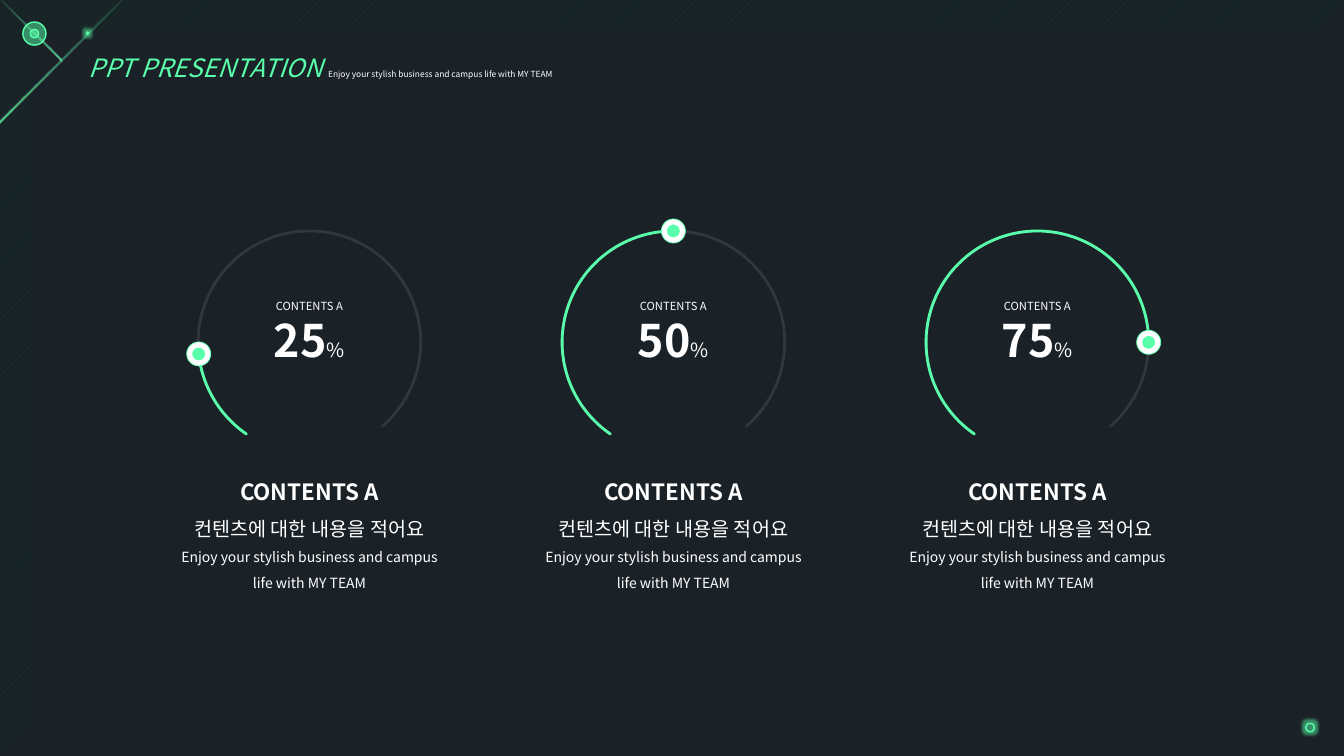
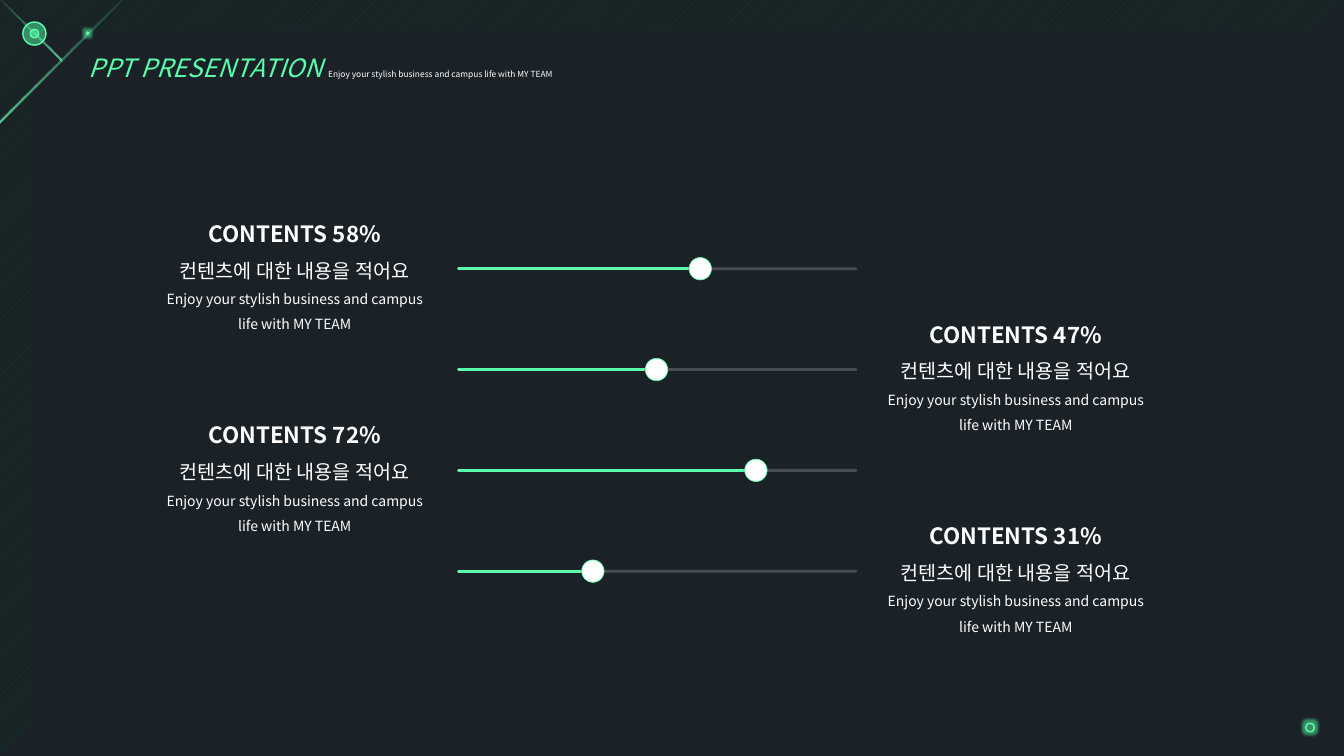
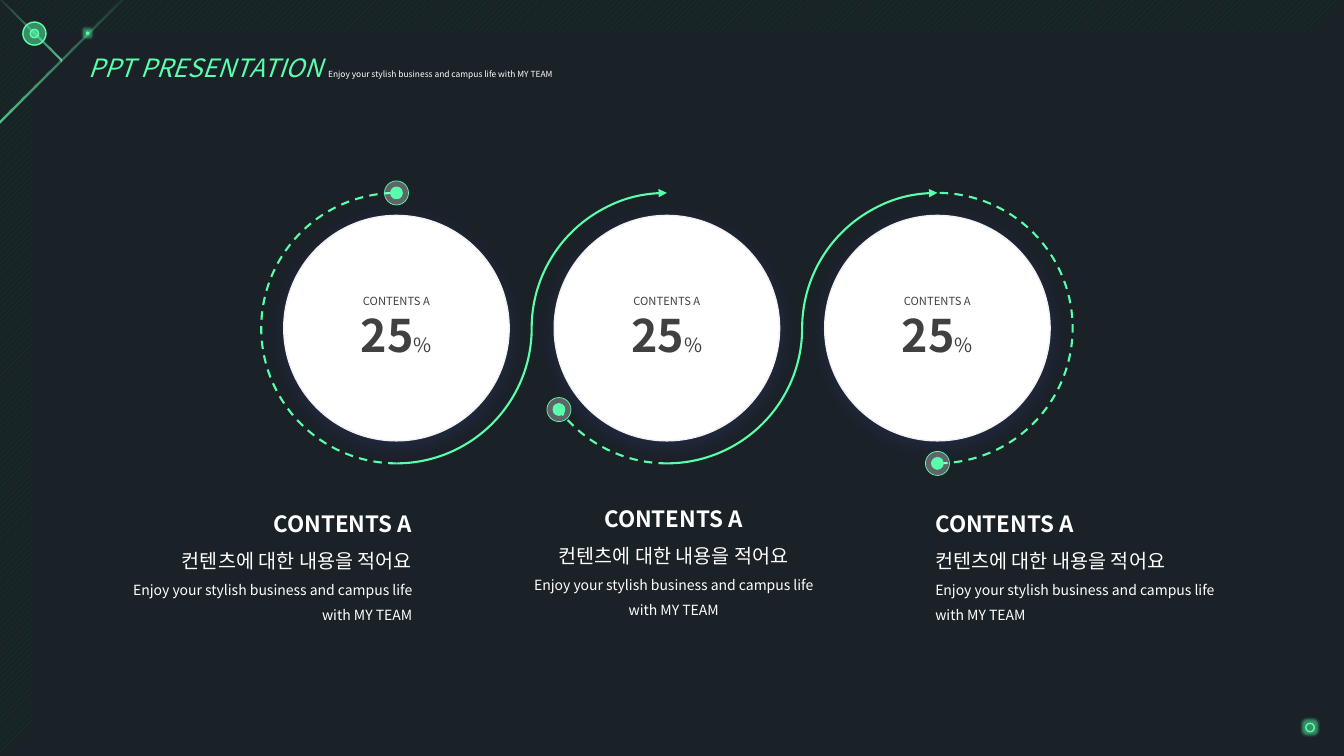
import math

import lxml.etree
import pptx
import pptx.dml.color
import pptx.enum.dml
import pptx.enum.shapes
import pptx.enum.text
import pptx.oxml.ns
import pptx.util

Pt = pptx.util.Pt
qn = pptx.oxml.ns.qn
SHAPE = pptx.enum.shapes.MSO_SHAPE
ALIGN = pptx.enum.text.PP_ALIGN
ANCHOR = pptx.enum.text.MSO_ANCHOR


class Theme:
    font = "Noto Sans CJK KR"
    back, stripe = "1A2127", "004C26"
    accent, white, ink, rim, glow = "59FFAB", "FFFFFF", "404040", "F2F2F2", "5660FA"
    title, tagline = 18, 6
    label, figure, unit = 8, 32, 14
    heading, subheading, body = 16, 14, 10
    thin, edge, medium, thick = 0.5, 1, 1.5, 2


# Content
TITLE = "PPT PRESENTATION "
TAGLINE = "Enjoy your stylish business and campus life with MY TEAM"
SUBHEADING = "컨텐츠에 대한 내용을 적어요"
LABEL = "CONTENTS A"
GAUGES = [("25", 174), ("50", 270), ("75", 0)]  # figure, angle of the pin
SLIDERS = [58, 47, 72, 31]
DISCS = ["25", "25", "25"]
RING_ARCS = [  # disc, start angle, end angle, style
    (0, 90, 269, "dash"), (0, 0, 90, "solid"), (1, 180, 270, "arrow"),
    (1, 90, 145, "dash"), (1, 0, 90, "solid"), (2, 180, 270, "arrow"),
    (2, 271, 90, "dash"),
]
RING_PINS = [(0, 270), (1, 143), (2, 90)]  # disc, angle
DISC_CAPTIONS = [(72, 351.5, ALIGN.RIGHT), (366.5, 348, ALIGN.CENTER),
                 (661, 351.5, ALIGN.LEFT)]

# Layout
WIDTH, HEIGHT = 960, 540
BAND = [(0, 0), (WIDTH, 0), (WIDTH, 1.5), (939, 22.5), (23, 22.5),
        (23, 518.5), (1.5, HEIGHT), (0, HEIGHT)]
TITLE_BOX = (56, 34, 480, 29)
CAPTION_HEIGHT = 98
GAUGE_X, GAUGE_Y, GAUGE_STEP, GAUGE_SIZE = 221, 244.5, 260, 159
TRACK_X, TRACK_Y, TRACK_STEP, TRACK_WIDTH, KNOB = 327.5, 192, 72, 284, 16
DISC_X, DISC_Y, DISC_SIZE, RING_SIZE = 283.2, 234.4, 161, 193.2


def rgb(color):
    return pptx.dml.color.RGBColor.from_string(color)


# Formatting
def set_alpha(colors, *percents):
    for color, percent in zip(colors, percents):
        lxml.etree.SubElement(color, qn("a:alpha"), val=str(percent * 1000))


def fill(sp, color=None, alpha=None):
    if color is None:
        sp.fill.background()
        return
    sp.fill.solid()
    sp.fill.fore_color.rgb = rgb(color)
    if alpha is not None:
        set_alpha(sp.element.xpath("./p:spPr/a:solidFill/a:srgbClr"), alpha)


def stroke(sp, color=None, width=1, alpha=None, style="solid", cap="flat"):
    if color is None:
        sp.line.fill.background()
        return
    sp.line.color.rgb = rgb(color)
    sp.line.width = Pt(width)
    ln = sp.element.xpath("./p:spPr/a:ln")[0]
    ln.set("cap", cap)
    if alpha is not None:
        set_alpha(ln.xpath(".//a:srgbClr"), alpha)
    if style == "dash":
        sp.line.dash_style = pptx.enum.dml.MSO_LINE.DASH
    if style == "arrow":
        lxml.etree.SubElement(ln, qn("a:tailEnd"), type="triangle")


def add_effect(sp, kind, color, alpha, **lengths):
    effects = sp.element.xpath("./p:spPr/a:effectLst")[0]
    effect = lxml.etree.SubElement(
        effects, qn(kind), **{k: str(v) for k, v in lengths.items()})
    clr = lxml.etree.SubElement(effect, qn("a:srgbClr"), val=color)
    set_alpha([clr], alpha)


def add_shadow(sp, color, alpha, blur, dist, angle):
    add_effect(sp, "a:outerShdw", color, alpha, blurRad=Pt(blur), dist=Pt(dist),
               dir=angle * 60000, algn="ctr", rotWithShape=0)


def add_run(p, text, size, color, bold=False, italic=False):
    r = p.add_run()
    r.text = text
    r.font.size, r.font.bold, r.font.italic = Pt(size), bold, italic
    r.font.name = Theme.font
    r.font.color.rgb = rgb(color)
    lxml.etree.SubElement(r._r.get_or_add_rPr(), qn("a:ea"), typeface=Theme.font)


def write(tf, paragraphs, color, align, spacing=None):
    """Each paragraph is a list of (text, size, bold) runs."""
    tf.word_wrap = True
    for i, runs in enumerate(paragraphs):
        p = tf.add_paragraph() if i else tf.paragraphs[0]
        p.alignment = align
        if spacing:
            p.line_spacing = spacing
        for text, size, bold in runs:
            add_run(p, text, size, color, bold)


# Parts
def add_shape(slide, kind, x, y, w, h):
    sp = slide.shapes.add_shape(kind, Pt(x), Pt(y), Pt(w), Pt(h))
    sp.shadow.inherit = False
    return sp


def add_round(slide, x, y, size, kind=SHAPE.OVAL):
    return add_shape(slide, kind, x - size / 2, y - size / 2, size, size)


def add_dot(slide, x, y, size, color, line=None, width=1, alpha=None):
    sp = add_round(slide, x, y, size)
    fill(sp, color, alpha)
    stroke(sp, line, width)
    return sp


def add_pin(slide, x, y, size, angle, alpha=None):
    x += size / 2 * math.cos(math.radians(angle))
    y += size / 2 * math.sin(math.radians(angle))
    add_dot(slide, x, y, 17.2, Theme.white, Theme.accent, Theme.thin, alpha)
    add_dot(slide, x, y, 8.6, Theme.accent, Theme.accent, Theme.thin)


def add_arc(slide, x, y, size, start, end, color, width, **line):
    sp = add_round(slide, x, y, size, SHAPE.ARC)
    # Arc adjustments count 60000ths of a degree in units of 100000
    sp.adjustments[0], sp.adjustments[1] = start * 0.6, end * 0.6
    fill(sp)
    stroke(sp, color, width, **line)
    return sp


def add_line(slide, x1, x2, y, color, alpha=None):
    sp = slide.shapes.add_connector(
        pptx.enum.shapes.MSO_CONNECTOR.STRAIGHT, Pt(x1), Pt(y), Pt(x2), Pt(y))
    stroke(sp, color, Theme.thick, alpha, cap="rnd")
    lxml.etree.SubElement(sp.element.spPr, qn("a:effectLst"))


def write_figure(sp, figure, color):
    sp.text_frame.vertical_anchor = ANCHOR.MIDDLE
    write(sp.text_frame, [[(LABEL, Theme.label, False)],
                          [(figure, Theme.figure, True), ("%", Theme.unit, False)]],
          color, ALIGN.CENTER)


def add_caption(slide, x, y, width, heading, align=ALIGN.CENTER):
    sp = slide.shapes.add_textbox(Pt(x), Pt(y), Pt(width), Pt(CAPTION_HEIGHT))
    write(sp.text_frame, [[(heading, Theme.heading, True)],
                          [(SUBHEADING, Theme.subheading, False)],
                          [(TAGLINE, Theme.body, False)]],
          Theme.white, align, 1.5)


def add_stripe(slide, size, adjustment, flip=False):
    sp = add_shape(slide, SHAPE.DIAGONAL_STRIPE, 0, 0, size, size)
    sp.adjustments[0] = adjustment
    sp.fill.gradient()
    sp.fill.gradient_angle = 0
    for stop in sp.fill.gradient_stops:
        stop.color.rgb = rgb(Theme.accent)
    set_alpha(sp.element.xpath("./p:spPr/a:gradFill//a:srgbClr"), 75, 7)
    stroke(sp)
    if flip:
        sp.element.spPr.xfrm.set("flipH", "1")


# Shared layout
def draw_decor(slide):
    points = [(Pt(x), Pt(y)) for x, y in BAND]
    builder = slide.shapes.build_freeform(*points[0], scale=1.0)
    builder.add_line_segments(points[1:], close=True)
    band = builder.convert_to_shape()
    band.shadow.inherit = False
    band.fill.patterned()
    band.fill.pattern = pptx.enum.dml.MSO_PATTERN.WIDE_UPWARD_DIAGONAL
    band.fill.fore_color.rgb = rgb(Theme.stripe)
    band.fill.back_color.rgb = rgb(Theme.back)
    stroke(band)

    add_stripe(slide, 88, 0.976)
    add_dot(slide, 24.6, 24, 16.5, Theme.accent, Theme.accent, Theme.edge, 49)
    add_dot(slide, 24.6, 24, 6, Theme.accent, Theme.accent, Theme.edge, 50)
    add_stripe(slide, 44, 0.96, flip=True)
    ring = add_dot(slide, 935.8, 519.7, 6, None, Theme.accent, Theme.edge)
    spark = add_dot(slide, 62.6, 23.7, 2.5, Theme.accent)
    for sp in (ring, spark):
        add_effect(sp, "a:glow", Theme.accent, 50, rad=Pt(4))


def prepare_layout(prs, layout):
    background = prs.slide_master.background.fill
    background.solid()
    background.fore_color.rgb = rgb(Theme.back)
    for ph in list(layout.placeholders):
        if ph.placeholder_format.idx != 0:
            ph.element.getparent().remove(ph.element)
    title = layout.placeholders[0]
    title.left, title.top, title.width, title.height = map(Pt, TITLE_BOX)
    title.text_frame.vertical_anchor = ANCHOR.TOP
    title.text_frame.auto_size = pptx.enum.text.MSO_AUTO_SIZE.NONE


def move_to_layout(slide, layout):
    shapes = [sp for sp in slide.shapes if not sp.is_placeholder]
    for number, sp in enumerate(shapes, 100):
        sp.element.xpath(".//p:cNvPr")[0].set("id", str(number))
        layout.shapes.element.append(sp.element)


def add_slide(prs, layout):
    slide = prs.slides.add_slide(layout)
    p = slide.shapes.title.text_frame.paragraphs[0]
    p.alignment = ALIGN.LEFT
    add_run(p, TITLE, Theme.title, Theme.accent, italic=True)
    add_run(p, TAGLINE, Theme.tagline, Theme.white)
    return slide


# Slides
def draw_gauges(slide):
    for i, (figure, angle) in enumerate(GAUGES):
        x = GAUGE_X + i * GAUGE_STEP
        dial = (x, GAUGE_Y, GAUGE_SIZE)
        scale = add_arc(slide, *dial, 124.5, 49, Theme.white, Theme.thick,
                        alpha=10, cap="rnd")
        write_figure(scale, figure, Theme.white)
        add_arc(slide, *dial, 124.5, angle, Theme.accent, Theme.thick, cap="rnd")
        add_pin(slide, *dial, angle)
        add_caption(slide, x - 99, 328.5, 198, LABEL)


def draw_sliders(slide):
    for i, value in enumerate(SLIDERS):
        y = TRACK_Y + i * TRACK_STEP
        end = TRACK_X + TRACK_WIDTH * value / 100
        add_caption(slide, 626.5 if i % 2 else 111.5, y - 48, 198,
                    f"CONTENTS {value}%")
        add_line(slide, TRACK_X, TRACK_X + TRACK_WIDTH, y, Theme.white, 20)
        add_line(slide, TRACK_X, end, y, Theme.accent)
        knob = add_dot(slide, end + KNOB / 2, y, KNOB, Theme.white,
                       Theme.accent, Theme.thin)
        add_shadow(knob, "000000", 20, 0, 1, 135)


def draw_discs(slide):
    centers = [(DISC_X + i * RING_SIZE, DISC_Y) for i in range(len(DISCS))]
    for center, figure in zip(centers, DISCS):
        disc = add_dot(slide, *center, DISC_SIZE, Theme.white, Theme.rim, Theme.edge)
        add_shadow(disc, Theme.glow, 15, 15, 3, 90)
        write_figure(disc, figure, Theme.ink)
    for i, start, end, style in RING_ARCS:
        add_arc(slide, *centers[i], RING_SIZE, start, end, Theme.accent,
                Theme.medium, style=style)
    for i, angle in RING_PINS:
        add_pin(slide, *centers[i], RING_SIZE, angle, alpha=30)
    for x, y, align in DISC_CAPTIONS:
        add_caption(slide, x, y, 229.5, LABEL, align)


def main():
    prs = pptx.Presentation()
    prs.slide_width, prs.slide_height = Pt(WIDTH), Pt(HEIGHT)
    layout = prs.slide_layouts[5]
    prepare_layout(prs, layout)
    slides = [add_slide(prs, layout) for _ in range(3)]
    draw_decor(slides[0])
    move_to_layout(slides[0], layout)
    for slide, draw in zip(slides, (draw_gauges, draw_sliders, draw_discs)):
        draw(slide)
    prs.save("out.pptx")


if __name__ == "__main__":
    main()
